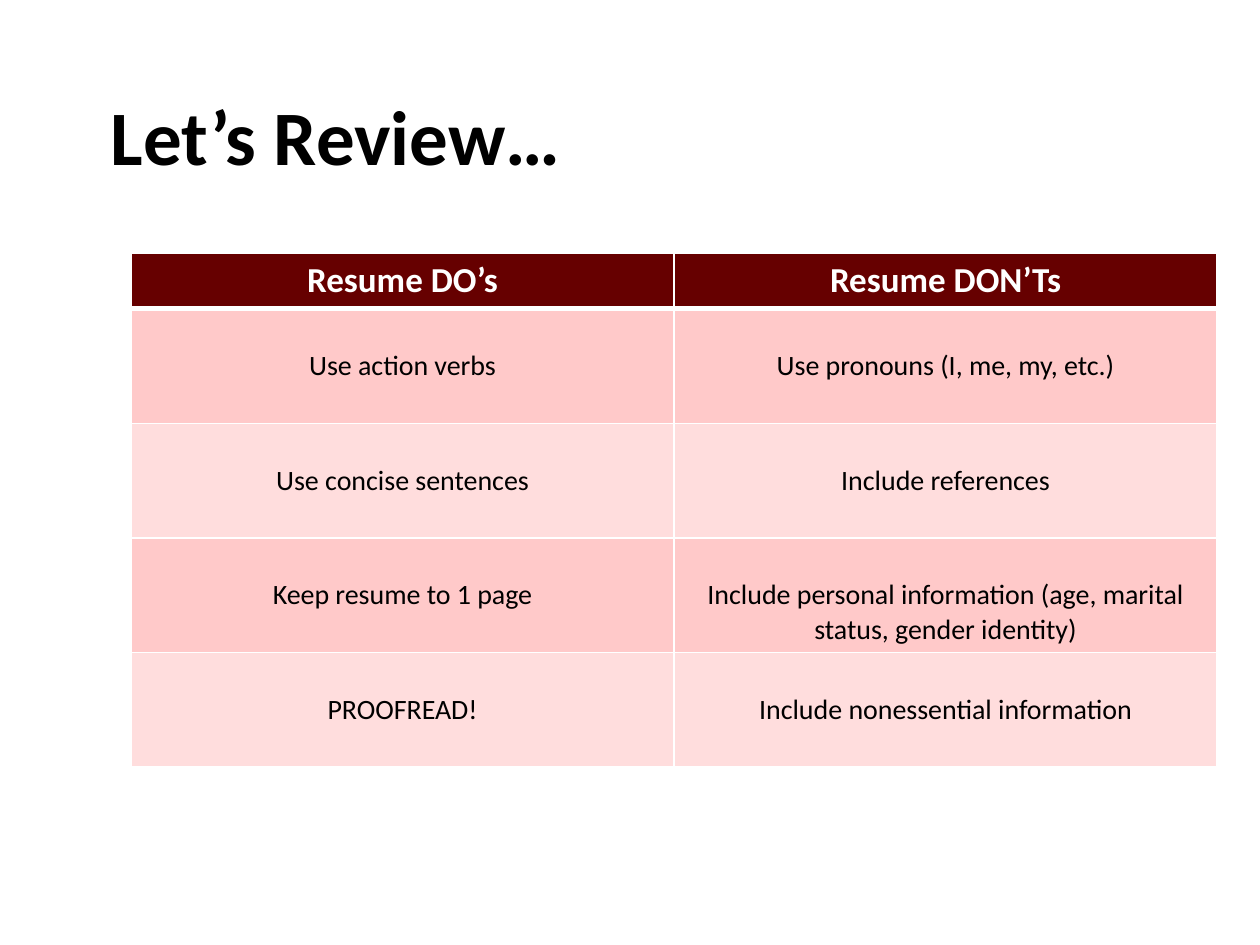
from dataclasses import dataclass

from lxml import etree
from pptx import Presentation
from pptx.dml.color import RGBColor
from pptx.enum.text import MSO_ANCHOR, PP_ALIGN
from pptx.oxml.ns import qn
from pptx.util import Inches, Pt

MIDDLE = MSO_ANCHOR.MIDDLE
TOP = MSO_ANCHOR.TOP
CENTER = PP_ALIGN.CENTER


@dataclass
class Theme:
    font: str = "Calibri"
    ink: str = "000000"
    white: str = "FFFFFF"
    head: str = "660000"
    bands: tuple = ("FFDDDD", "FFC9C9")
    title: int = 44
    label: int = 20
    body: int = 16


theme = Theme()


def style(para, size, color, bold):
    for run in para.runs:
        run.font.name = theme.font
        run.font.size = Pt(size)
        run.font.bold = bold
        run.font.color.rgb = RGBColor.from_string(color)


def edge(cell, side, width):
    props = cell._tc.get_or_add_tcPr()
    line = etree.SubElement(props, qn(f"a:ln{side}"), w=str(Pt(width)))
    fill = etree.SubElement(line, qn("a:solidFill"))
    etree.SubElement(fill, qn("a:srgbClr"), val=theme.white)


deck = Presentation()
deck.slide_width = Inches(10)
deck.slide_height = Inches(7.5)
slide = deck.slides.add_slide(deck.slide_layouts[6])

box = slide.shapes.add_textbox(Inches(0.78), Inches(0.39), Inches(8.62), Inches(1.45))
frame = box.text_frame
frame.word_wrap = True
frame.vertical_anchor = MIDDLE
title = frame.paragraphs[0]
title.text = "Let’s Review…"
title.line_spacing = 0.9
style(title, theme.title, theme.ink, True)

rows = [
    ("Resume DO’s", "Resume DON’Ts"),
    ("Use action verbs", "Use pronouns (I, me, my, etc.)"),
    ("Use concise sentences", "Include references"),
    ("Keep resume to 1 page",
     "Include personal information (age, marital status, gender identity)"),
    ("PROOFREAD!", "Include nonessential information"),
]
heights = [0.44] + [0.91] * (len(rows) - 1)
table = slide.shapes.add_table(
    len(rows), 2, Inches(1.04), Inches(2.01), Inches(8.62), Inches(sum(heights))
).table

for r, texts in enumerate(rows):
    table.rows[r].height = Inches(heights[r])
    header = r == 0
    for c, text in enumerate(texts):
        cell = table.cell(r, c)
        cell.vertical_anchor = TOP
        cell.margin_top = Inches(0.05 if header else 0.32)
        para = cell.text_frame.paragraphs[0]
        para.text = text
        para.alignment = CENTER
        if header:
            style(para, theme.label, theme.white, True)
        else:
            style(para, theme.body, theme.ink, False)
        for side in "LRTB":
            thick = (r, side) in ((0, "B"), (1, "T"))
            edge(cell, side, 3 if thick else 1)
        cell.fill.solid()
        color = theme.head if header else theme.bands[r % 2]
        cell.fill.fore_color.rgb = RGBColor.from_string(color)

deck.save("out.pptx")
